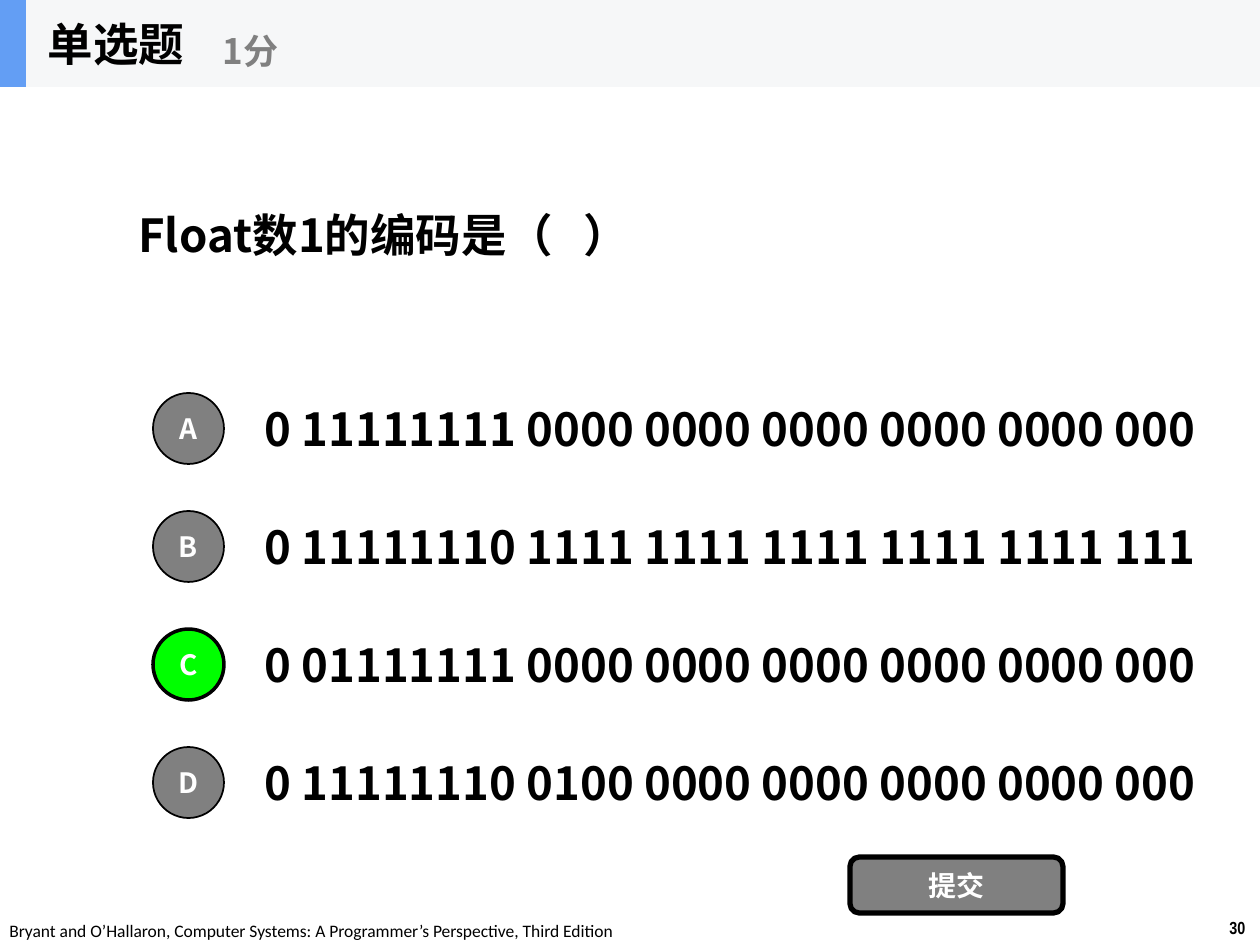
from pptx import Presentation
from pptx.dml.color import RGBColor
from pptx.enum.shapes import MSO_SHAPE
from pptx.enum.text import MSO_ANCHOR, MSO_AUTO_SIZE, PP_ALIGN
from pptx.oxml.ns import qn
from pptx.util import Emu, Pt

PX = 914400 / 126
COLORS = {"black": "000000", "white": "FFFFFF", "gray": "808080",
          "green": "00FF00", "blue": "639EF4", "band": "F6F7F8"}
CJK = "Noto Sans CJK SC"


def put_text(sp, text, size, color="black", font=CJK, bold=True, wrap=False,
             align=PP_ALIGN.LEFT, anchor=MSO_ANCHOR.MIDDLE):
    tf = sp.text_frame
    frame = {"word_wrap": wrap, "auto_size": MSO_AUTO_SIZE.NONE,
             "vertical_anchor": anchor}
    for name, value in frame.items():
        setattr(tf, name, value)
    p = tf.paragraphs[0]
    p.alignment = align
    r = p.add_run()
    r.text = text
    for name, value in {"size": Pt(size), "bold": bold, "name": font}.items():
        setattr(r.font, name, value)
    r.font.color.rgb = RGBColor.from_string(COLORS[color])
    ea = r.font._element.makeelement(qn("a:ea"), {"typeface": font})
    r.font._element.find(qn("a:latin")).addnext(ea)


def add_box(kind, box, fill, line=0):
    sp = s.shapes.add_shape(kind, *[Emu(round(v * PX)) for v in box])
    sp.shadow.inherit = False
    sp.fill.solid()
    sp.fill.fore_color.rgb = RGBColor.from_string(COLORS[fill])
    if line:
        sp.line.width = Pt(line)
        sp.line.color.rgb = RGBColor.from_string(COLORS["black"])
    else:
        sp.line.fill.background()
    return sp


prs = Presentation()
prs.slide_width, prs.slide_height = Emu(round(1260 * PX)), Emu(round(945 * PX))
s = prs.slides.add_slide(prs.slide_layouts[5])

add_box(MSO_SHAPE.RECTANGLE, (0, 0, 1260, 87), "band")
add_box(MSO_SHAPE.RECTANGLE, (0, 0, 26, 87), "blue")

title = s.shapes.title
s.shapes.element.append(title.element)
place = {"left": 35, "top": 0, "width": 262, "height": 87}
for name, value in place.items():
    setattr(title, name, Emu(round(value * PX)))
put_text(title, "单选题", 26)

footer = {"size": 10, "anchor": MSO_ANCHOR.TOP}
texts = [
    ("1分", (210, 15, 315, 71), {"size": 20, "color": "gray"}),
    ("Float数1的编码是（   ）", (126, 87, 1008, 295), {"size": 26, "wrap": True}),
    ("Bryant and O’Hallaron, Computer Systems: A Programmer’s Perspective, Third Edition",
     (-3, 914, 640, 34), {**footer, "font": "Calibri", "bold": False}),
    ("30", (1217, 911, 43, 34), {**footer, "font": "Arial Narrow"}),
]

answers = {
    "A": "0 11111111 0000 0000 0000 0000 0000 000",
    "B": "0 11111110 1111 1111 1111 1111 1111 111",
    "C": "0 01111111 0000 0000 0000 0000 0000 000",
    "D": "0 11111110 0100 0000 0000 0000 0000 000",
}
label = {"size": 16, "color": "white", "align": PP_ALIGN.CENTER}
for i, (letter, bits) in enumerate(answers.items()):
    top = 384 + 118 * i
    texts.append((bits, (252, top, 882, 88), {"size": 26}))
    fill, line = ("green", 2) if letter == "C" else ("gray", 1)
    sp = add_box(MSO_SHAPE.OVAL, (153, top + 9, 71, 71), fill, line)
    put_text(sp, letter, **label)

for text, box, style in texts:
    sp = s.shapes.add_textbox(*[Emu(round(v * PX)) for v in box])
    put_text(sp, text, **style)

submit = add_box(MSO_SHAPE.ROUNDED_RECTANGLE, (850, 857, 213, 56), "gray", 3)
put_text(submit, "提交", **label)

prs.save("out.pptx")
